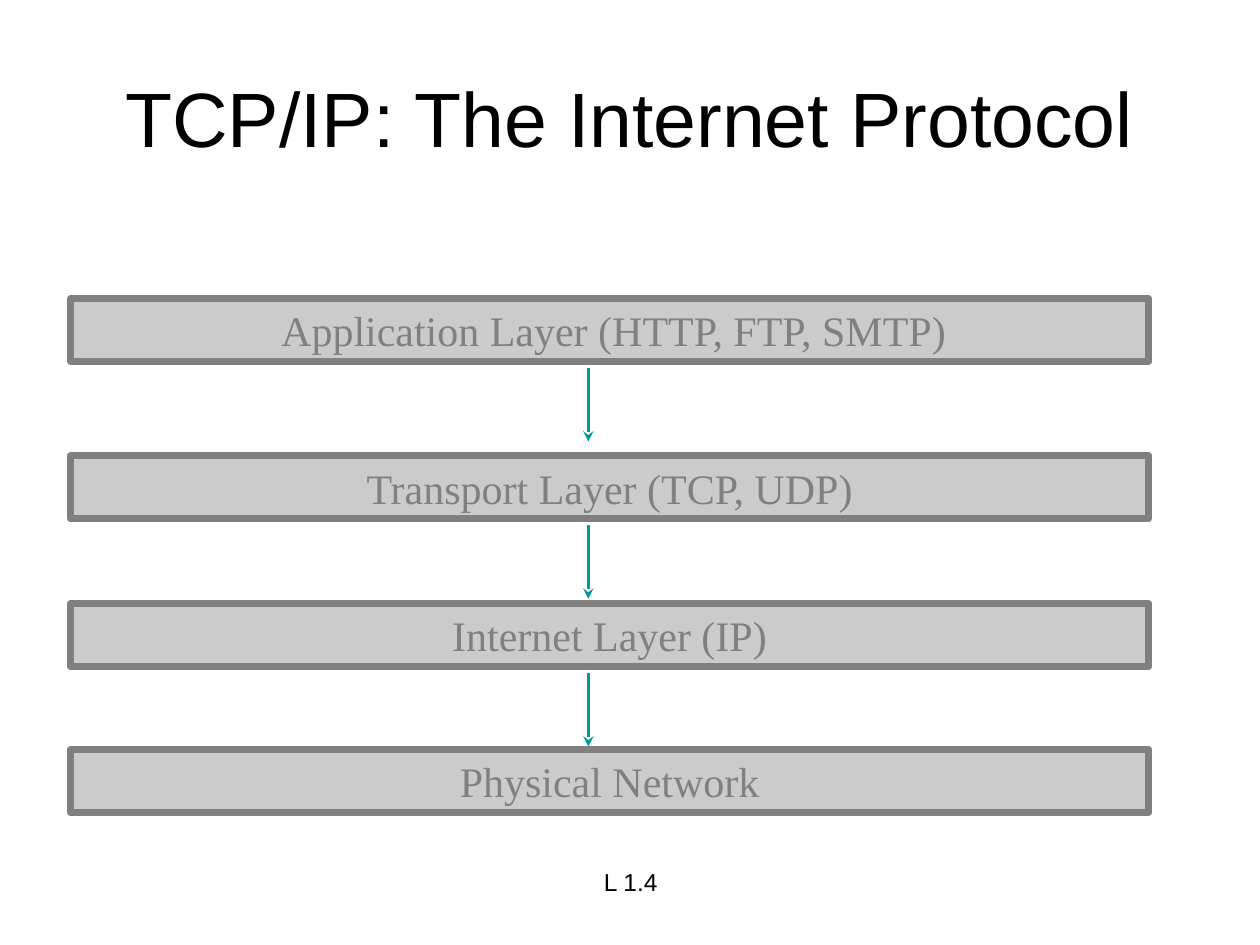
from lxml.etree import SubElement
from pptx import Presentation
from pptx.dml.color import RGBColor
from pptx.enum.shapes import MSO_CONNECTOR as Connector, MSO_SHAPE as Shape
from pptx.enum.text import MSO_ANCHOR as Anchor, PP_ALIGN as Align
from pptx.oxml.ns import qn
from pptx.util import Cm, Pt

LAYERS = [
    (" Application Layer (HTTP, FTP, SMTP)", 6.02),
    ("Transport Layer (TCP, UDP)", 9.19),
    ("Internet Layer (IP)", 12.17),
    ("Physical Network", 15.11),
]
LAYER_LEFT, LAYER_WIDTH, LAYER_HEIGHT = 1.42, 21.74, 1.27
ARROW_X, ARROW_DROP, ARROW_LENGTH = 11.86, 1.4, 1.48
TITLE_FORMAT = {"name": "Arial", "size": Pt(44)}
LAYER_FORMAT = {"name": "Times New Roman", "size": Pt(24)}
NUMBER_FORMAT = {"name": "Arial", "size": Pt(14)}


def color(value):
    return RGBColor.from_string(value)


def write(shape, text, font_format, ink, anchor=Anchor.TOP):
    frame = shape.text_frame
    frame.word_wrap = True
    frame.vertical_anchor = anchor
    para = frame.paragraphs[0]
    para.alignment = Align.CENTER
    span = para.add_run()
    span.text = text
    for name, value in font_format.items():
        setattr(span.font, name, value)
    span.font.color.rgb = color(ink)


def add_title(page, text):
    title = page.shapes.title
    place = {"left": 1.27, "top": 0.76, "width": 22.86, "height": 3.18}
    for name, value in place.items():
        setattr(title, name, Cm(value))
    write(title, text, TITLE_FORMAT, "000000", Anchor.MIDDLE)


def add_layer(page, text, top):
    box = page.shapes.add_shape(
        Shape.RECTANGLE, Cm(LAYER_LEFT), Cm(top), Cm(LAYER_WIDTH), Cm(LAYER_HEIGHT))
    box.shadow.inherit = False
    box.fill.solid()
    box.fill.fore_color.rgb = color("CBCBCB")
    box.line.color.rgb = color("808080")
    box.line.width = Pt(4)
    write(box, text, LAYER_FORMAT, "808080")


def add_arrow(page, top):
    arrow = page.shapes.add_connector(
        Connector.STRAIGHT, Cm(ARROW_X), Cm(top), Cm(ARROW_X), Cm(top + ARROW_LENGTH))
    arrow.line.color.rgb = color("009999")
    arrow.line.width = Pt(2)
    SubElement(arrow.line._get_or_add_ln(), qn("a:tailEnd"), type="stealth")
    SubElement(arrow._element.spPr, qn("a:effectLst"))


def add_page_number(page, text):
    box = page.shapes.add_textbox(Cm(8.69), Cm(17.35), Cm(8.05), Cm(1.32))
    write(box, text, NUMBER_FORMAT, "000000")


def main():
    deck = Presentation()
    deck.slide_width, deck.slide_height = Cm(25.4), Cm(19.05)
    page = deck.slides.add_slide(deck.slide_layouts[5])
    add_title(page, "TCP/IP: The Internet Protocol")
    for text, top in LAYERS:
        add_layer(page, text, top)
    for _, top in LAYERS[:-1]:
        add_arrow(page, top + ARROW_DROP)
    add_page_number(page, "L 1.4")
    deck.save("out.pptx")


if __name__ == "__main__":
    main()
